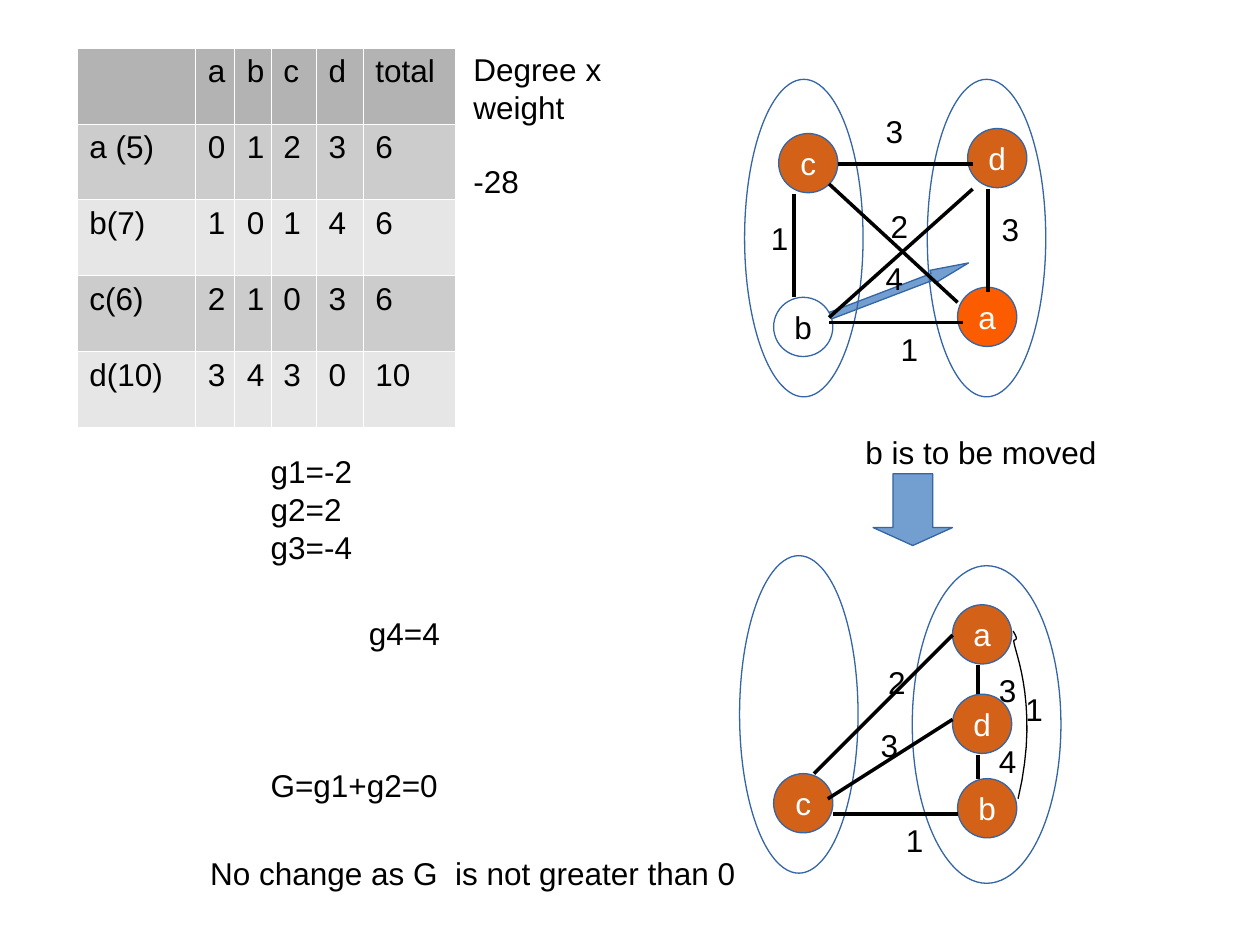
from lxml.etree import SubElement
from pptx import Presentation
from pptx.dml.color import RGBColor
from pptx.enum.shapes import MSO_CONNECTOR, MSO_SHAPE
from pptx.enum.text import MSO_ANCHOR, PP_ALIGN
from pptx.oxml import parse_xml
from pptx.oxml.ns import nsdecls, qn
from pptx.util import Inches, Pt

FONT = {"name": "Arial", "size": Pt(18)}
BLACK, WHITE = "000000", "FFFFFF"
BLUE, OUTLINE = "729FCF", "3465A4"
ORANGE, BRIGHT = "D36118", "FC5C00"
DIAMETER = 0.47

ROWS = [
    ["", "a", "b", "c", "d", "total"],
    ["a (5)", "0", "1", "2", "3", "6"],
    ["b(7)", "1", "0", "1", "4", "6"],
    ["c(6)", "2", "1", "0", "3", "6"],
    ["d(10)", "3", "4", "3", "0", "10"],
]
COLUMN_WIDTHS = [0.94, 0.31, 0.29, 0.36, 0.37, 0.73]
ROW_FILLS = ["B3B3B3", "CCCCCC", "E6E6E6", "CCCCCC", "E6E6E6"]

NOTES = [
    (3.66, 0.35, 1.46, 2.68, ["Degree x weight", "-28"], 20.7),
    (6.77, 3.39, 2.52, 0.38, ["b is to be moved"], 0),
    (2.83, 4.82, 1.42, 0.38, ["g4=4"], 0),
    (2.05, 3.54, 1.42, 1.22, ["g1=-2", "g2=2", "g3=-4"], 0),
    (2.05, 6.03, 1.97, 0.66, ["G=g1+g2=0"], 0),
    (1.57, 6.73, 4.8, 0.66, ["No change as G  is not greater than 0"], 0),
]

BEFORE = {
    "nodes": [("a", 7.6, 2.28, BRIGHT, WHITE), ("b", 6.14, 2.36, WHITE, BLACK),
              ("d", 7.68, 1.02, ORANGE, WHITE), ("c", 6.18, 1.06, ORANGE, WHITE)],
    "partitions": [(5.91, 0.63, 0.94), (7.36, 0.63, 0.94)],
    "edges": [(6.58, 2.56, 7.64, 2.56), (6.65, 1.3, 7.72, 1.3),
              (6.3, 1.54, 6.3, 2.36), (7.84, 1.5, 7.84, 2.32),
              (6.58, 1.46, 7.6, 2.4), (6.58, 2.52, 7.72, 1.5)],
    "weights": [("2", 6.97, 1.59), ("1", 7.05, 2.57), ("3", 7.85, 1.62),
                ("1", 6.02, 1.69), ("3", 6.93, 0.84), ("4", 6.93, 2.01)],
}
AFTER = {
    "nodes": [("a", 7.56, 4.8, ORANGE, WHITE), ("b", 7.6, 6.18, ORANGE, WHITE),
              ("c", 6.14, 6.14, ORANGE, WHITE), ("d", 7.56, 5.51, ORANGE, WHITE)],
    "partitions": [(7.24, 4.49, 1.18), (5.87, 4.41, 0.94)],
    "edges": [(7.6, 6.46, 6.61, 6.46), (6.57, 6.34, 7.56, 5.71),
              (6.46, 6.14, 7.56, 5.04), (7.76, 5.28, 7.76, 5.51),
              (7.76, 5.99, 7.76, 6.18)],
    "weights": [("2", 6.95, 5.21), ("1", 8.04, 5.43), ("3", 7.83, 5.28),
                ("1", 7.09, 6.47), ("3", 6.89, 5.71), ("4", 7.83, 5.84)],
}
CURVE = [
    [(8.08, 6.34), (8.27, 5.54), (8.01, 5.09), (8.05, 5.08)],
    [(8.05, 5.08), (8.09, 5.08), (8.04, 5.01), (8.04, 5.01)],
]


def color(value):
    return RGBColor.from_string(value)


def write(para, text, text_color=BLACK):
    span = para.add_run()
    span.text = text
    for name, value in FONT.items():
        setattr(span.font, name, value)
    span.font.color.rgb = color(text_color)


def add_text(page, left, top, width, height, lines, gap=0):
    box = page.shapes.add_textbox(*map(Inches, (left, top, width, height)))
    frame = box.text_frame
    frame.word_wrap = True
    for index, line in enumerate(lines):
        para = frame.add_paragraph() if index else frame.paragraphs[0]
        if index and gap:
            para.space_before = Pt(gap)
        write(para, line)


def style_shape(shape, fill=None, line=OUTLINE):
    shape.shadow.inherit = False
    if fill:
        shape.fill.solid()
        shape.fill.fore_color.rgb = color(fill)
    else:
        shape.fill.background()
    shape.line.color.rgb = color(line)
    shape.line.width = 0


def add_shape(page, kind, left, top, width, height, fill=None):
    shape = page.shapes.add_shape(kind, *map(Inches, (left, top, width, height)))
    style_shape(shape, fill)
    return shape


def add_node(page, name, left, top, fill, text_color):
    node = add_shape(page, MSO_SHAPE.OVAL, left, top, DIAMETER, DIAMETER, fill)
    frame = node.text_frame
    frame.word_wrap = False
    frame.vertical_anchor = MSO_ANCHOR.MIDDLE
    para = frame.paragraphs[0]
    para.alignment = PP_ALIGN.CENTER
    write(para, name, text_color)


def add_edge(page, *ends):
    edge = page.shapes.add_connector(MSO_CONNECTOR.STRAIGHT, *map(Inches, ends))
    edge.line.color.rgb = color(BLACK)
    edge.line.width = 0
    SubElement(edge._element.spPr, qn("a:effectLst"))


def add_graph(page, graph):
    for node in graph["nodes"]:
        add_node(page, *node)
    for left, top, width in graph["partitions"]:
        add_shape(page, MSO_SHAPE.OVAL, left, top, width, 2.52)
    for edge in graph["edges"]:
        add_edge(page, *edge)
    for weight, left, top in graph["weights"]:
        add_text(page, left, top, 0.31, 0.38, [weight])


def bezier_point(controls, t):
    factors = ((1 - t) ** 3, 3 * t * (1 - t) ** 2, 3 * t ** 2 * (1 - t), t ** 3)
    return tuple(Inches(sum(f * c for f, c in zip(factors, axis)))
                 for axis in zip(*controls))


def add_curve(page, segments, steps=16):
    start = bezier_point(segments[0], 0)
    builder = page.shapes.build_freeform(*start)
    builder.add_line_segments(
        [bezier_point(controls, step / steps)
         for controls in segments for step in range(1, steps + 1)], close=False)
    style_shape(builder.convert_to_shape(), line=BLACK)


def add_borders(cell):
    properties = cell._tc.get_or_add_tcPr()
    for index, side in enumerate(("lnL", "lnR", "lnT", "lnB")):
        properties.insert(index, parse_xml(
            f'<a:{side} {nsdecls("a")} w="762"><a:solidFill>'
            f'<a:srgbClr val="{WHITE}"/></a:solidFill></a:{side}>'))


def add_weight_table(page):
    table = page.shapes.add_table(
        len(ROWS), len(COLUMN_WIDTHS),
        *map(Inches, (0.61, 0.38, sum(COLUMN_WIDTHS), 3.01))).table
    table.first_row = table.horz_banding = False
    for column, width in zip(table.columns, COLUMN_WIDTHS):
        column.width = Inches(width)
    for row, texts, fill in zip(table.rows, ROWS, ROW_FILLS):
        for cell, text in zip(row.cells, texts):
            cell.fill.solid()
            cell.fill.fore_color.rgb = color(fill)
            add_borders(cell)
            if text:
                write(cell.text_frame.paragraphs[0], text)


def main():
    deck = Presentation()
    deck.slide_width, deck.slide_height = Inches(10), Inches(7.5)
    page = deck.slides.add_slide(deck.slide_layouts[6])
    add_weight_table(page)
    for note in NOTES:
        add_text(page, *note)
    move = add_shape(page, MSO_SHAPE.RIGHT_ARROW, 6.45, 2.26, 1.28, 0.11, BLUE)
    move.adjustments[1] = 2.8
    move.rotation = 339.1
    add_graph(page, BEFORE)
    add_graph(page, AFTER)
    add_curve(page, CURVE)
    add_shape(page, MSO_SHAPE.DOWN_ARROW, 6.93, 3.76, 0.63, 0.57, BLUE).adjustments[1] = 0.25
    deck.save("out.pptx")


if __name__ == "__main__":
    main()
